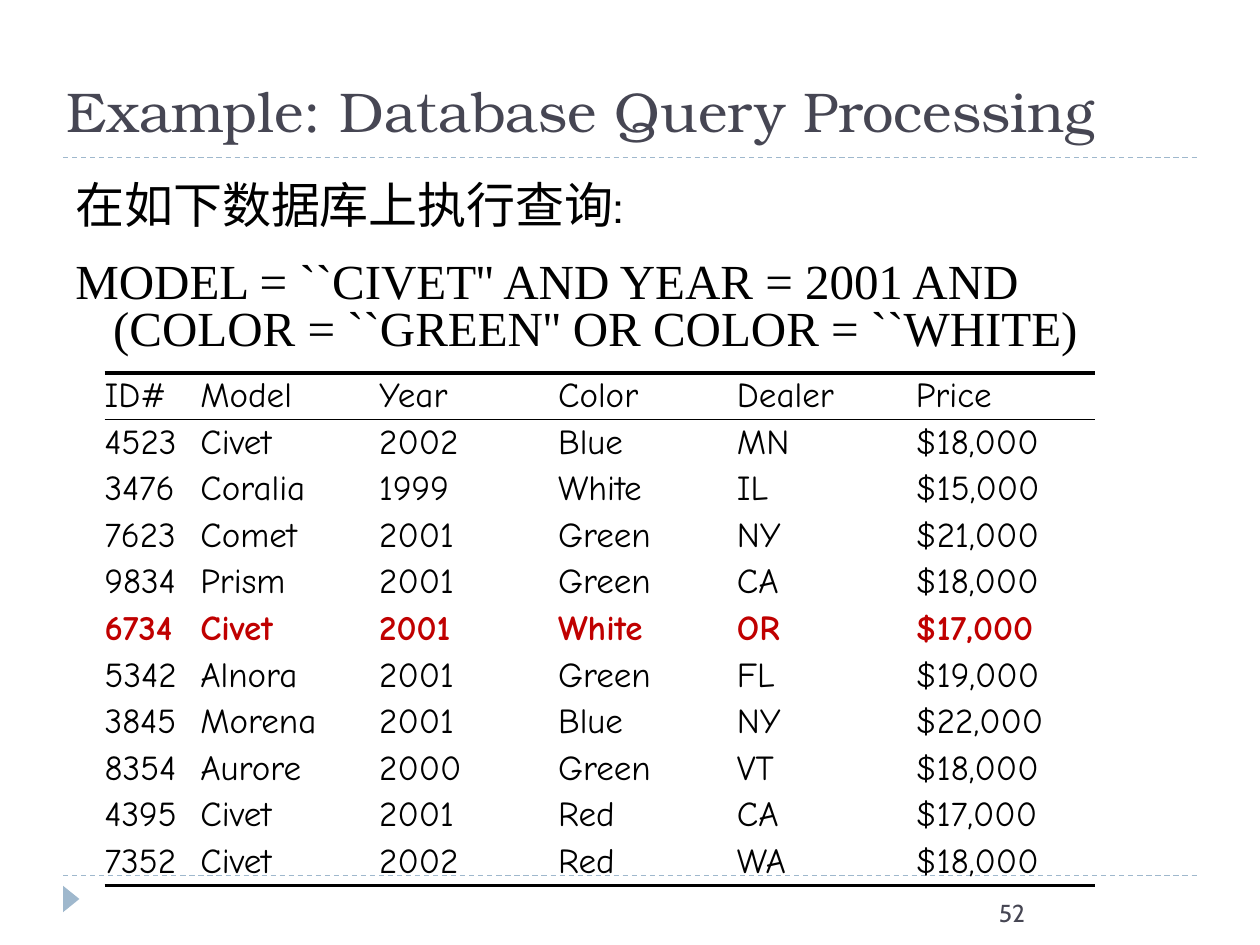
from lxml.etree import SubElement
from pptx import Presentation
from pptx.dml.color import RGBColor
from pptx.enum.dml import MSO_LINE
from pptx.enum.shapes import MSO_CONNECTOR, MSO_SHAPE
from pptx.enum.text import MSO_ANCHOR, PP_ALIGN
from pptx.oxml import parse_xml
from pptx.oxml.ns import nsdecls, qn
from pptx.util import Inches, Pt

INK, HEADING, ACCENT, MATCH = "000000", "464653", "9FB8CD", "C00000"
SANS, SERIF = "Cabin", "Times New Roman"
MATCHING_ID = "6734"
CARS = [
    ("ID#", "Model", "Year", "Color", "Dealer", "Price"),
    ("4523", "Civet", "2002", "Blue", "MN", "$18,000"),
    ("3476", "Coralia", "1999", "White", "IL", "$15,000"),
    ("7623", "Comet", "2001", "Green", "NY", "$21,000"),
    ("9834", "Prism", "2001", "Green", "CA", "$18,000"),
    (MATCHING_ID, "Civet", "2001", "White", "OR", "$17,000"),
    ("5342", "Alnora", "2001", "Green", "FL", "$19,000"),
    ("3845", "Morena", "2001", "Blue", "NY", "$22,000"),
    ("8354", "Aurore", "2000", "Green", "VT", "$18,000"),
    ("4395", "Civet", "2001", "Red", "CA", "$17,000"),
    ("7352", "Civet", "2002", "Red", "WA", "$18,000"),
]


def rgb(color):
    return RGBColor.from_string(color)


def write(paragraph, text, size, font, color=INK, bold=False, line_spacing=None,
          before=None, after=None, hanging=None):
    if hanging is not None:
        properties = paragraph._p.get_or_add_pPr()
        properties.set("marL", str(Inches(hanging)))
        properties.set("indent", str(-Inches(hanging)))
    paragraph.alignment = PP_ALIGN.LEFT
    paragraph.line_spacing = line_spacing
    if before is not None:
        paragraph.space_before = Pt(before)
    if after is not None:
        paragraph.space_after = Pt(after)
    run = paragraph.add_run()
    run.text = text
    run.font.size = Pt(size)
    run.font.name = font
    run.font.bold = bold
    run.font.color.rgb = rgb(color)


def add_text_frame(slide, left, top, width, height):
    box = slide.shapes.add_textbox(Inches(left), Inches(top), Inches(width), Inches(height))
    box.text_frame.word_wrap = True
    return box.text_frame


def add_title(slide, text):
    title = slide.shapes.title
    title.left, title.top = Inches(0.43), Inches(0.21)
    title.width, title.height = Inches(9.37), Inches(0.98)
    title.text_frame.vertical_anchor = MSO_ANCHOR.BOTTOM
    write(title.text_frame.paragraphs[0], text, 32, "TeX Gyre Bonum", HEADING)


def add_dashed_rule(slide, y):
    rule = slide.shapes.add_connector(
        MSO_CONNECTOR.STRAIGHT, Inches(0.5), Inches(y), Inches(9.5), Inches(y))
    rule.line.color.rgb = rgb(ACCENT)
    rule.line.width = Pt(0.75)
    rule.line.dash_style = MSO_LINE.DASH
    SubElement(rule._element.spPr, qn("a:effectLst"))


def add_page_marker(slide):
    marker = slide.shapes.add_shape(
        MSO_SHAPE.ISOSCELES_TRIANGLE, Inches(0.46), Inches(7.07), Inches(0.21), Inches(0.13))
    marker.rotation = 90
    marker.shadow.inherit = False
    marker.fill.solid()
    marker.fill.fore_color.rgb = rgb(ACCENT)
    marker.line.fill.background()


def add_query(slide):
    frame = add_text_frame(slide, 0.5, 1.15, 9, 1.92)
    common = {"size": 28, "after": 5, "hanging": 0.3}
    write(frame.paragraphs[0], "在如下数据库上执行查询:", font=SANS, line_spacing=1.4, **common)
    write(frame.add_paragraph(), "MODEL = ``CIVET'' AND YEAR = 2001 AND",
          font=SERIF, before=5, **common)
    write(frame.add_paragraph(), "\t(COLOR = ``GREEN'' OR COLOR = ``WHITE)",
          font=SERIF, before=5, line_spacing=0.4, **common)


def set_borders(cell, top=0, bottom=0):
    """Draw top and bottom borders of the given point widths; 0 means none."""
    widths = {"lnL": 0, "lnR": 0, "lnT": top, "lnB": bottom}
    properties = cell._tc.get_or_add_tcPr()
    for position, (side, width) in enumerate(widths.items()):
        paint = f'<a:solidFill><a:srgbClr val="{INK}"/></a:solidFill>' if width else "<a:noFill/>"
        properties.insert(position, parse_xml(
            f'<a:{side} {nsdecls("a")} w="{Pt(width)}">{paint}</a:{side}>'))


def add_car_table(slide):
    column_widths = [0.76] + [1.42] * 5
    row_height = 0.37
    last = len(CARS) - 1
    table = slide.shapes.add_table(
        len(CARS), len(column_widths), Inches(0.83), Inches(2.96),
        Inches(sum(column_widths)), Inches(row_height * len(CARS))).table
    table.first_row = table.horz_banding = False
    for column, width in zip(table.columns, column_widths):
        column.width = Inches(width)
    for index, (row, values) in enumerate(zip(table.rows, CARS)):
        row.height = Inches(row_height)
        matching = values[0] == MATCHING_ID
        for cell, value in zip(row.cells, values):
            cell.margin_left = cell.margin_right = cell.margin_top = cell.margin_bottom = 0
            cell.vertical_anchor = MSO_ANCHOR.MIDDLE
            cell.fill.background()
            set_borders(cell, top={0: 2.25, 1: 1}.get(index, 0),
                        bottom={0: 1, last: 2.25}.get(index, 0))
            write(cell.text_frame.paragraphs[0], value, 20, "Comic Neue",
                  MATCH if matching else INK, bold=matching)


def main():
    presentation = Presentation()
    presentation.slide_width, presentation.slide_height = Inches(10), Inches(7.5)
    slide = presentation.slides.add_slide(presentation.slide_layouts[5])
    for y in (6.95, 1.25):
        add_dashed_rule(slide, y)
    add_page_marker(slide)
    add_title(slide, "Example: Database Query Processing")
    add_query(slide)
    add_car_table(slide)
    number = add_text_frame(slide, 7.83, 7.08, 2.08, 0.5)
    write(number.paragraphs[0], "52", 14, SANS, HEADING)
    presentation.save("out.pptx")


if __name__ == "__main__":
    main()
